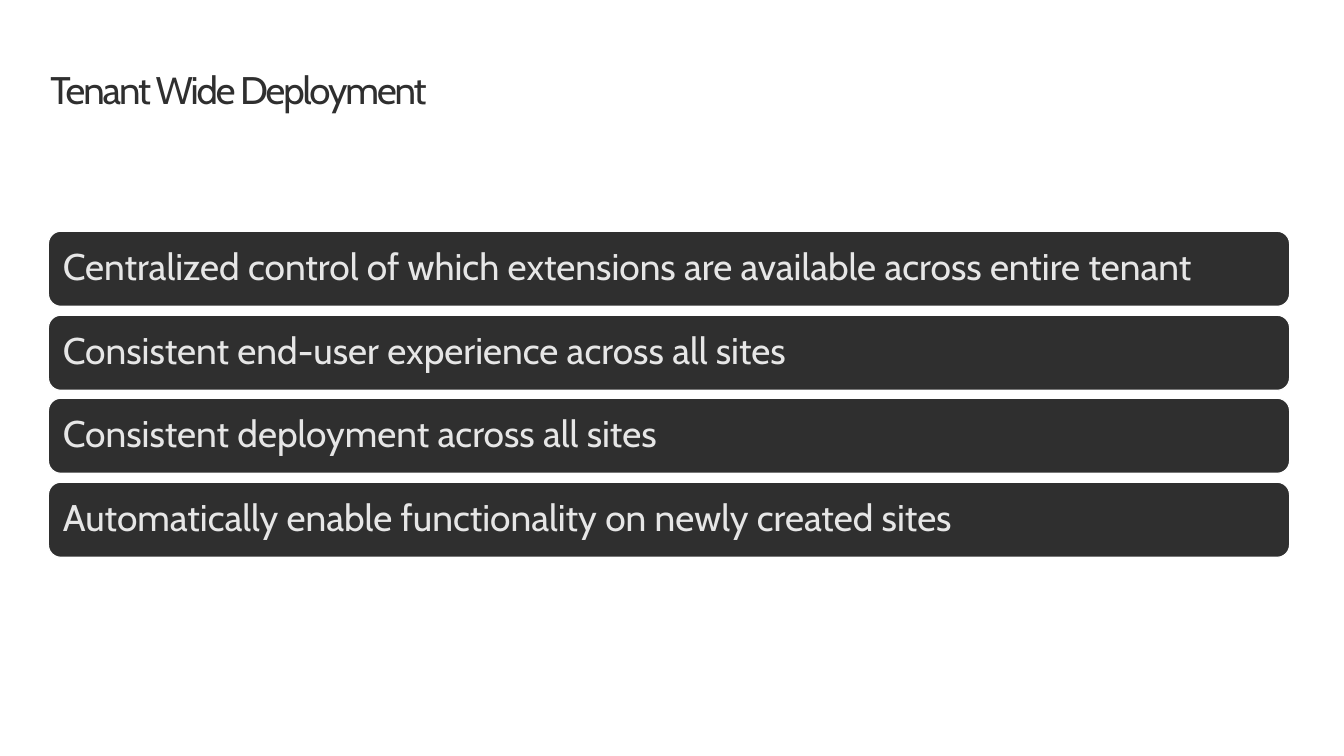
from dataclasses import dataclass

from pptx import Presentation
from pptx.dml.color import RGBColor
from pptx.enum.shapes import MSO_SHAPE as Shape
from pptx.enum.text import MSO_ANCHOR as Anchor, PP_ALIGN as Align
from pptx.util import Inches, Pt


@dataclass(frozen=True)
class Theme:
    font: str = "Cabin"
    dark: RGBColor = RGBColor(0x2F, 0x2F, 0x2F)
    light: RGBColor = RGBColor(0xE6, 0xE6, 0xE6)
    white: RGBColor = RGBColor(0xFF, 0xFF, 0xFF)
    title_size: float = 28
    bar_size: float = 27
    outline: float = 0.85


class SlideBuilder:
    def __init__(self, slide, theme):
        self.slide = slide
        self.theme = theme

    def set_text(self, shape, text, size, color, line_spacing, inset):
        """Fill a shape with one left-aligned line and return its run."""
        frame = shape.text_frame
        frame.text = text
        frame.word_wrap = True
        frame.margin_left = frame.margin_right = Inches(inset)
        frame.margin_top = frame.margin_bottom = Inches(inset)
        paragraph = frame.paragraphs[0]
        paragraph.alignment = Align.LEFT
        paragraph.line_spacing = line_spacing
        run = paragraph.runs[0]
        run.font.name = self.theme.font
        run.font.size = Pt(size)
        run.font.color.rgb = color
        return run

    def title(self, text, left, top, width, height):
        box = self.slide.shapes.add_textbox(
            Inches(left), Inches(top), Inches(width), Inches(height))
        run = self.set_text(box, text, self.theme.title_size,
                            self.theme.dark, Pt(32), 0)
        # Tight letter spacing, in hundredths of a point
        run.font._element.set("spc", "-150")

    def bar(self, text, left, top, width, height):
        bar = self.slide.shapes.add_shape(
            Shape.ROUNDED_RECTANGLE,
            Inches(left), Inches(top), Inches(width), Inches(height))
        bar.shadow.inherit = False
        bar.fill.solid()
        bar.fill.fore_color.rgb = self.theme.dark
        bar.line.color.rgb = self.theme.white
        bar.line.width = Pt(self.theme.outline)
        bar.text_frame.vertical_anchor = Anchor.MIDDLE
        self.set_text(bar, text, self.theme.bar_size,
                      self.theme.light, 0.9, 0.11)


BENEFITS = (
    "Centralized control of which extensions are available across entire tenant",
    "Consistent end-user experience across all sites",
    "Consistent deployment across all sites",
    "Automatically enable functionality on newly created sites",
)
FIRST_BAR_TOP = 2.34
BAR_PITCH = 0.846


def main():
    presentation = Presentation()
    presentation.slide_width = Inches(13.6)
    presentation.slide_height = Inches(7.65)
    slide = presentation.slides.add_slide(presentation.slide_layouts[6])
    builder = SlideBuilder(slide, Theme())

    # Heading
    builder.title("Tenant Wide Deployment", 0.51, 0.69, 12.61, 0.45)

    # Stack of benefit bars
    for index, benefit in enumerate(BENEFITS):
        top = round(FIRST_BAR_TOP + index * BAR_PITCH, 2)
        builder.bar(benefit, 0.49, top, 12.56, 0.76)

    presentation.save("out.pptx")


if __name__ == "__main__":
    main()
